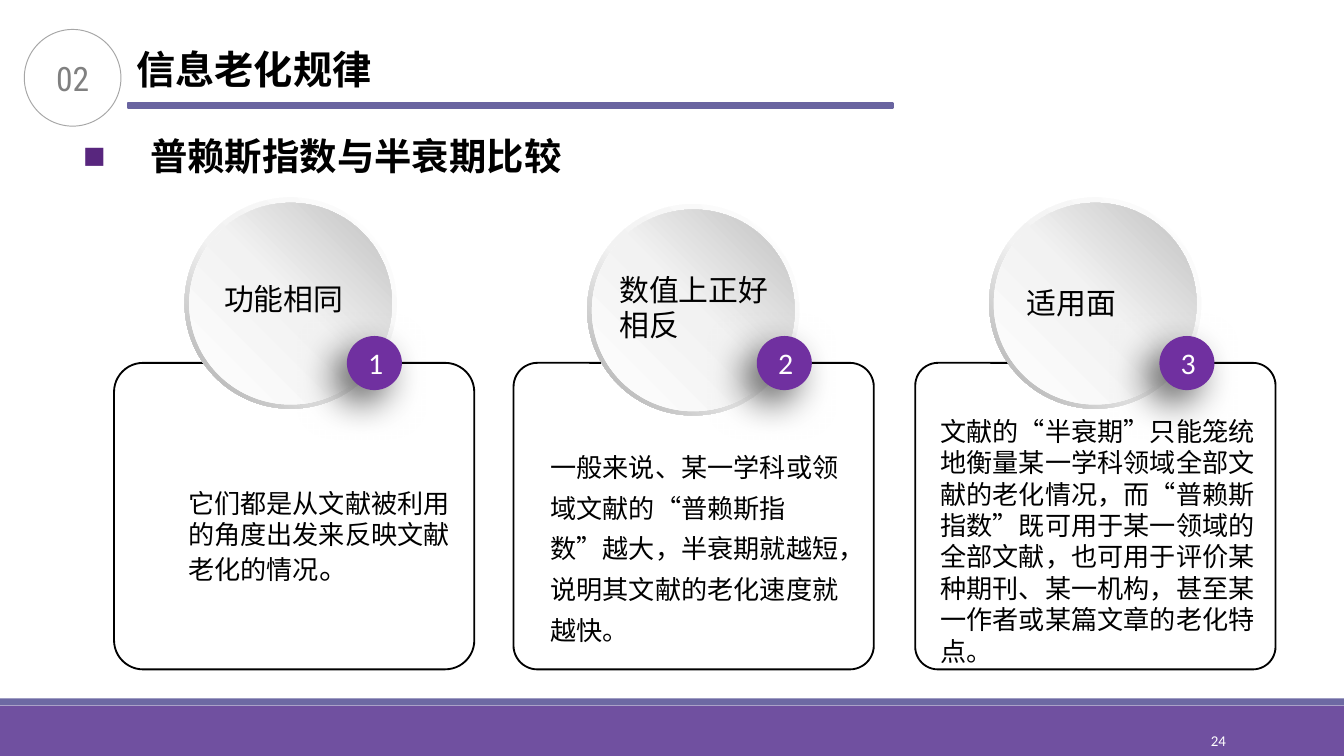
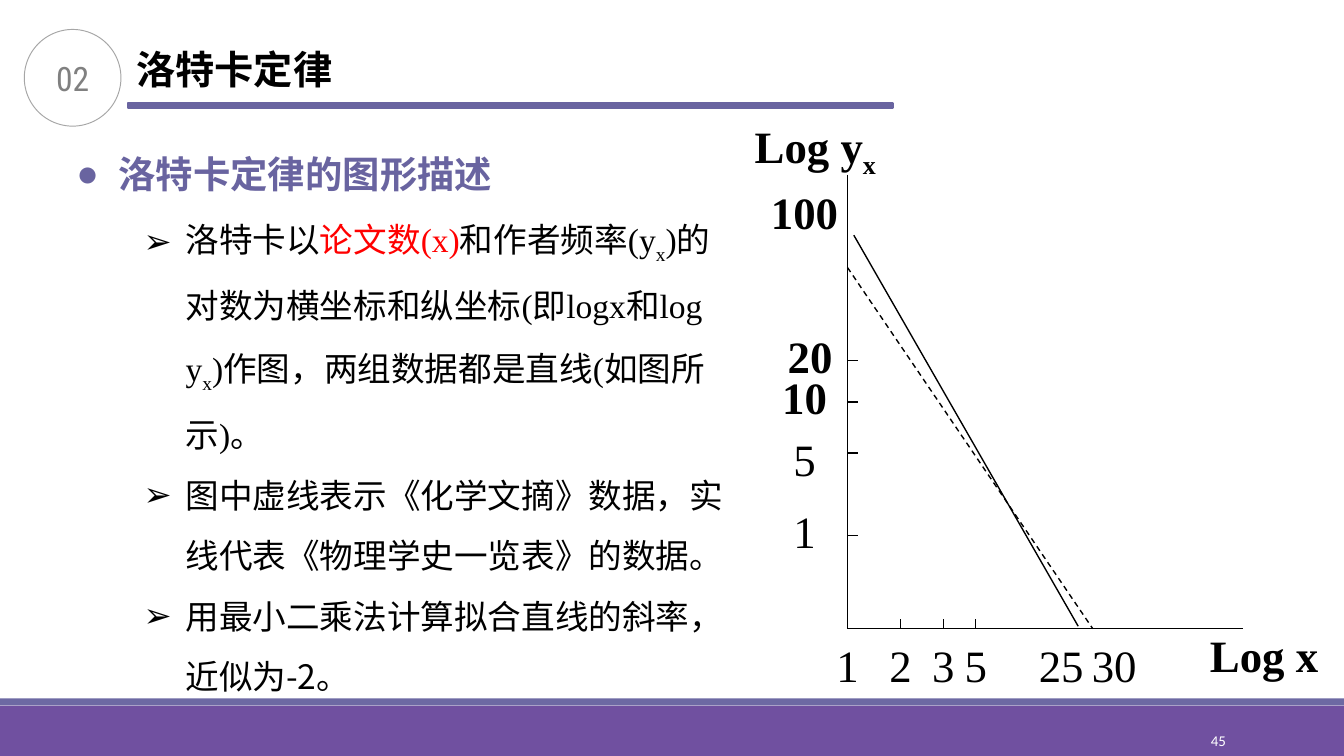
from lxml import etree
from pptx import Presentation
from pptx.dml.color import RGBColor
from pptx.enum.dml import MSO_LINE
from pptx.enum.shapes import MSO_CONNECTOR, MSO_SHAPE
from pptx.enum.text import MSO_ANCHOR, MSO_AUTO_SIZE, PP_ALIGN
from pptx.oxml.ns import qn
from pptx.util import Pt

RECT, OVAL = MSO_SHAPE.RECTANGLE, MSO_SHAPE.OVAL
ROUND, DONUT = MSO_SHAPE.ROUNDED_RECTANGLE, MSO_SHAPE.DONUT
STRAIGHT, DASH = MSO_CONNECTOR.STRAIGHT, MSO_LINE.DASH
LEFT, CENTER, RIGHT = PP_ALIGN.LEFT, PP_ALIGN.CENTER, PP_ALIGN.RIGHT
TOP, MIDDLE = MSO_ANCHOR.TOP, MSO_ANCHOR.MIDDLE
GROW, FIXED = MSO_AUTO_SIZE.SHAPE_TO_FIT_TEXT, MSO_AUTO_SIZE.NONE

BLACK = RGBColor(0, 0, 0)
WHITE = RGBColor(0xFF, 0xFF, 0xFF)
RED = RGBColor(0xFF, 0, 0)
GRAY = RGBColor(0x80, 0x80, 0x80)
OUTLINE = RGBColor(0xA6, 0xA6, 0xA6)
PALE = RGBColor(0xF2, 0xF2, 0xF2)
SILVER = RGBColor(0xBF, 0xBF, 0xBF)
FOOTER = RGBColor(0x70, 0x50, 0xA0)
FOOTER_EDGE = RGBColor(0x6D, 0x69, 0xA3)
ACCENT = RGBColor(0x69, 0x64, 0xA0)
BULLET = RGBColor(0x58, 0x26, 0x7E)
BADGE = RGBColor(0x70, 0x30, 0xA0)

SANS, SERIF = "Noto Sans CJK SC", "Times New Roman"
NUMBER, LATIN = "Roboto Condensed", "Calibri"
TIGHT = (5.4, 2.7)
NORMAL = (7.2, 3.6)


def sub(parent, tag, **attrs):
    el = etree.SubElement(parent, qn(tag))
    for name, value in attrs.items():
        el.set(name, str(value))
    return el


def style(r, size, color=BLACK, font=SANS, bold=False, subscript=False):
    f = r.font
    f.size, f.bold, f.name = Pt(size), bold, font
    f.color.rgb = color
    rPr = r._r.get_or_add_rPr()
    sub(rPr, "a:ea", typeface=SANS)
    if subscript:
        rPr.set("baseline", "-25000")


def frame(sp, inset=NORMAL, anchor=TOP, wrap=True, size=FIXED):
    tf = sp.text_frame
    tf.margin_left = tf.margin_right = Pt(inset[0])
    tf.margin_top = tf.margin_bottom = Pt(inset[1])
    tf.vertical_anchor, tf.word_wrap, tf.auto_size = anchor, wrap, size
    return tf


def write(tf, text, align=LEFT, **look):
    """Fill a frame with plain text in a single look."""
    tf.text = text
    for p in tf.paragraphs:
        p.alignment = align
        for r in p.runs:
            style(r, **look)


def write_runs(p, runs, **look):
    """Add (text, differences) runs to a paragraph."""
    for text, changes in runs:
        r = p.add_run()
        r.text = text
        style(r, **{**look, **changes})


def indent(p, left, hanging=0, bullet=None, color=None):
    pPr = p._p.get_or_add_pPr()
    pPr.set("marL", str(Pt(left)))
    pPr.set("indent", str(-Pt(hanging)))
    if color:
        sub(sub(pPr, "a:buClr"), "a:srgbClr", val=color)
    if bullet:
        sub(pPr, "a:buFont", typeface="Arial")
        sub(pPr, "a:buChar", char=bullet)


def text_box(s, x, y, w, h, **options):
    return frame(s.shapes.add_textbox(Pt(x), Pt(y), Pt(w), Pt(h)), **options)


def shape(s, kind, x, y, w, h, fill=None, line=None, weight=1, adj=None):
    sp = s.shapes.add_shape(kind, Pt(x), Pt(y), Pt(w), Pt(h))
    sp.shadow.inherit = False
    if fill is None:
        sp.fill.background()
    else:
        sp.fill.solid()
        sp.fill.fore_color.rgb = fill
    if line is None:
        sp.line.fill.background()
    else:
        sp.line.color.rgb = line
        sp.line.width = Pt(weight)
    if adj is not None:
        sp.adjustments[0] = adj
    return sp


def gradient(sp, stops, angle):
    sp.fill.gradient()
    grad = sp._element.spPr.find(qn("a:gradFill"))
    for child in list(grad):
        grad.remove(child)
    gs_list = sub(grad, "a:gsLst")
    for pos, color in stops:
        sub(sub(gs_list, "a:gs", pos=pos * 1000), "a:srgbClr", val=color)
    sub(grad, "a:lin", ang=angle * 60000, scaled=0)


def drop_shadow(sp):
    effects = sp._element.spPr.find(qn("a:effectLst"))
    shadow = sub(effects, "a:outerShdw", blurRad=Pt(20), dist=Pt(10),
                 dir=135 * 60000, algn="tr", rotWithShape=0)
    sub(sub(shadow, "a:srgbClr", val=BLACK), "a:alpha", val=60000)


def line(s, x1, y1, x2, y2, dash=None):
    cn = s.shapes.add_connector(STRAIGHT, Pt(x1), Pt(y1), Pt(x2), Pt(y2))
    cn.line.color.rgb = BLACK
    cn.line.width = Pt(0.75)
    if dash:
        cn.line.dash_style = dash
    sub(cn._element.spPr, "a:effectLst")


def base_slide(prs, title, width, page):
    """Add a slide with the footer bands, section number and title."""
    s = prs.slides.add_slide(prs.slide_layouts[5])
    shape(s, RECT, 0, 378, 720, 27, FOOTER)
    shape(s, RECT, 0, 374.2, 720, 3.8, FOOTER_EDGE)
    write(text_box(s, 584.3, 386, 78, 21.6, inset=TIGHT, anchor=MIDDLE),
          page, RIGHT, size=8, color=WHITE, font=LATIN)
    shape(s, RECT, 68.4, 55.2, 409.7, 2.6, ACCENT, ACCENT, 1.25)
    ring = shape(s, OVAL, 13, 15.8, 51.8, 51.8, line=OUTLINE, weight=0.5)
    write(frame(ring, TIGHT, MIDDLE), "02", CENTER, size=18, color=GRAY, font=NUMBER)
    sp = s.shapes.title
    sp.left, sp.top, sp.width, sp.height = Pt(67.6), Pt(21.6), Pt(width), Pt(31)
    write(frame(sp, TIGHT, wrap=False, size=GROW), title, size=21, bold=True)
    return s


def disc(s, x, y):
    """Draw a shaded circle with a bevelled rim."""
    rim = shape(s, DONUT, x, y, 113.6, 113.2, WHITE, adj=0.049)
    gradient(rim, [(0, WHITE), (55, PALE), (100, OUTLINE)], 135)
    face = shape(s, OVAL, x + 2.5, y + 2.9, 108.6, 108, WHITE)
    gradient(face, [(0, WHITE), (51, PALE), (100, SILVER)], 315)


def comparison_slide(prs):
    s = base_slide(prs, "信息老化规律", 139, "24")
    tf = text_box(s, 37.4, 60.5, 470, 46, anchor=MIDDLE)
    write(tf, "普赖斯指数与半衰期比较", size=20, bold=True)
    indent(tf.paragraphs[0], 36, 36, "■", BULLET)

    # card x, corner, disc, badge x, heading, heading box, body runs, body box, left indent, spacing
    cards = [
        (61.1, 0.095, (98.9, 105.8), 185.8, "功能相同", (113, 146.9, 79.2, 26.6),
         [("它们都是从文献被利用的角度出发来反映文献老化的情况", {}), ("。", {"size": 16})],
         (64.8, 260.9, 188, 53.3), 36, None),
        (275.1, 0.078, (314.6, 109.4), 405.4, "数值上正好\n相反", (324.7, 141.8, 95, 45.4),
         [("一般来说、某一学科或领域文献的“普赖斯指数”越大，半衰期就越短，"
           "说明其文献的老化速度就越快。", {})],
         (294.9, 236.7, 167, 108), 0, 1.3),
        (490.3, 0.074, (529.9, 105.8), 621.1, "适用面", (543.1, 149, 63.4, 26.6),
         [("文献的“半衰期”只能笼统地衡量某一学科领域全部文献的老化情况，而“普赖斯指数”既可用于"
           "某一领域的全部文献，也可用于评价某种期刊、某一机构，甚至某一作者或某篇文章的老化特点。", {})],
         (467.8, 222.5, 215.3, 135.4), 36, None),
    ]
    for i, (x, corner, at, badge_x, head, head_box, body, body_box, left, spacing) in enumerate(cards):
        shape(s, ROUND, x, 194.4, 193, 164.2, line=BLACK, adj=corner)
        disc(s, *at)
        badge = shape(s, OVAL, badge_x, 180, 29.5, 29, BADGE)
        drop_shadow(badge)
        write(frame(badge, anchor=MIDDLE), str(i + 1), CENTER,
              size=16, color=WHITE, font=LATIN)
        write(text_box(s, *head_box, wrap=False, size=GROW), head, size=16)
        p = text_box(s, *body_box, inset=(0, 0), size=GROW).paragraphs[0]
        p.level = 1 if left else 0
        p.line_spacing = spacing
        indent(p, left)
        write_runs(p, body, size=14)


def axis_label(s, cx, cy, runs, bold=False):
    sp = shape(s, ROUND, cx - 23, cy - 13.7, 46, 27.4, adj=0.167)
    p = frame(sp, anchor=MIDDLE, wrap=False).paragraphs[0]
    p.alignment = CENTER
    write_runs(p, runs, size=24, font=SERIF, bold=bold)


def log_plot(s):
    x0, y0, tick = 454, 336.8, 5.4
    line(s, x0, 93.6, x0, y0)
    line(s, x0, y0, 666, y0)
    line(s, 457.4, 126, 577.6, 335.5)
    line(s, x0, 143.3, 585.4, y0, DASH)

    x_values = [("5", 522.7, True), ("3", 505.4, True), ("2", 482.4, True),
                ("1", x0, False), ("25", 568.5, False), ("30", 596.9, False)]
    for text, x, ticked in x_values:
        axis_label(s, x, 356, [(text, {})])
        if ticked:
            line(s, x, y0, x, y0 - tick)

    y_values = [("100", 431, 113.3, None, True), ("20", 434, 190.3, 193, True),
                ("10", 431, 212.6, 215.3, True), ("5", 431, 245.5, 242.8, False),
                ("1", 431, 284.4, 287, False)]
    for text, x, y, tick_y, bold in y_values:
        axis_label(s, x, y, [(text, {})], bold)
        if tick_y:
            line(s, x0, tick_y, x0 + tick, tick_y)

    axis_label(s, 436.8, 80, [("Log y", {}), ("x", {"subscript": True})], True)
    axis_label(s, 677.2, 350.6, [("Log x", {})], True)


def lotka_slide(prs):
    s = base_slide(prs, "洛特卡定律", 117.4, "45")
    tf = text_box(s, 35.5, 66.4, 365.8, 299.5, inset=TIGHT, size=GROW)
    small_x = ("x", {"subscript": True})
    sans = {"font": SANS}
    points = [
        [("洛特卡定律的图形描述", {"size": 20, "color": ACCENT, "bold": True, **sans})],
        [("洛特卡以", {}), ("论文数(x)", {"color": RED}), ("和作者频率(y", {}), small_x,
         (")的对数为横坐标和纵坐标(即logx和log y", {}), small_x,
         (")作图，两组数据都是直线(如图所示)。", {})],
        [("图中虚线表示《化学文摘》数据，实线代表《物理学史一览表》的数据。", sans)],
        [("用最小二乘法计算拟合直线的斜率，近似为-2。", sans)],
    ]
    for i, runs in enumerate(points):
        p = tf.add_paragraph() if i else tf.paragraphs[0]
        p.level = 1 if i else 0
        p.line_spacing = 1.5
        indent(p, 58.5 if i else 22.5, 22.5, "➢" if i else "●")
        write_runs(p, runs, size=18, font=SERIF)
    log_plot(s)


def main():
    prs = Presentation()
    prs.slide_width, prs.slide_height = Pt(720), Pt(405)
    comparison_slide(prs)
    lotka_slide(prs)
    prs.save("out.pptx")


if __name__ == "__main__":
    main()
